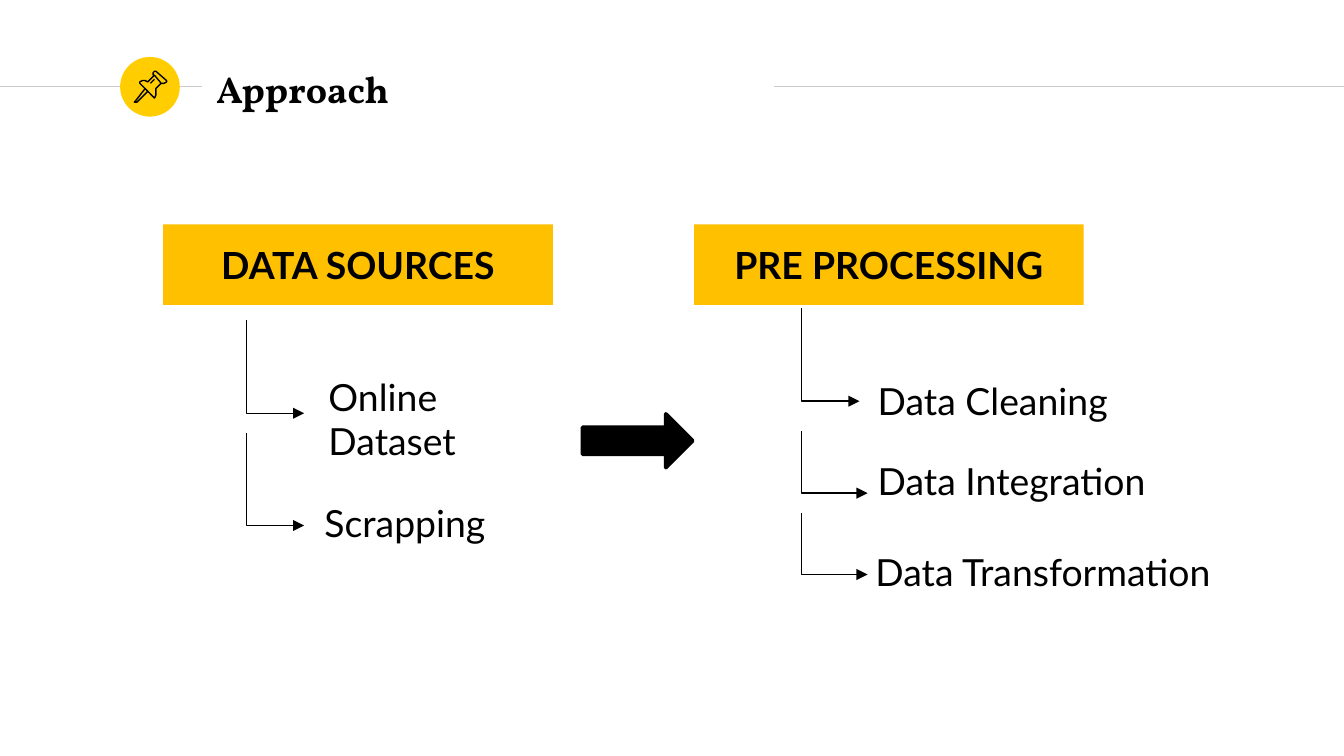
from dataclasses import dataclass
from typing import NamedTuple

from lxml.etree import SubElement
from pptx import Presentation
from pptx.dml.color import RGBColor
from pptx.enum.shapes import MSO_CONNECTOR, MSO_SHAPE
from pptx.enum.text import MSO_ANCHOR, PP_ALIGN
from pptx.oxml.ns import qn
from pptx.util import Inches, Pt


@dataclass(frozen=True)
class Theme:
    ink: str = "000000"
    paper: str = "FFFFFF"
    rule: str = "CCCCCC"
    badge: str = "FFCD00"
    banner: str = "FFC000"
    title_font: str = "Vollkorn"
    body_font: str = "Lato"
    text_size: float = 20
    thin: float = 0.75
    thick: float = 2


class Area(NamedTuple):
    """Left, top, width and height in grid columns and rows."""
    left: float
    top: float
    width: float
    height: float


class Label(NamedTuple):
    text: str
    area: Area


class Route(NamedTuple):
    """Start and end of a line, in grid columns and rows."""
    start: tuple[float, float]
    end: tuple[float, float]


class Stroke(NamedTuple):
    points: list[tuple[int, int]]
    closed: bool


THEME = Theme()
SLIDE_WIDTH = Inches(10)
SLIDE_HEIGHT = SLIDE_WIDTH * 9 // 16
COLUMNS = 100
CELL = SLIDE_WIDTH // COLUMNS
BANNER_TOP, BANNER_WIDTH, ROW_HEIGHT = 16.7, 29, 6
RULE_ROW = 6.46

BANNERS = [
    Label(text, Area(left, BANNER_TOP, BANNER_WIDTH, ROW_HEIGHT))
    for text, left in (("DATA SOURCES", 12.14), ("PRE PROCESSING", 51.64))
]
STEPS = [
    Label("Online Dataset", Area(23.14, 28.14, 14, ROW_HEIGHT)),
    Label("Scrapping", Area(22.84, 35.9, 18.3, ROW_HEIGHT)),
    Label("Data Cleaning", Area(64, 26.8, 26.5, ROW_HEIGHT)),
    Label("Data Integration", Area(64, 32.74, 26.7, ROW_HEIGHT)),
    Label("Data Transformation", Area(63.84, 39.54, 30.7, ROW_HEIGHT)),
]
BRANCHES = [
    Route((left, top), (left + width, top + height))
    for left, top, width, height in (
        (18.34, 23.8, 4.3, 6.95),
        (18.34, 32.2, 4.3, 6.9),
        (59.65, 22.9, 4.3, 6.95),
        (59.65, 32.1, 4.9, 4.6),
        (59.65, 38.2, 4.9, 4.55),
    )
]
RULES = [
    Route((0, RULE_ROW), (15, RULE_ROW)),
    Route((57.6, RULE_ROW), (COLUMNS, RULE_ROW)),
]
# Pin strokes in hundredths of an inch
PIN = [
    Stroke([(108, 66), (101, 75), (100, 76), (102, 76), (110, 68)], True),
    Stroke([(115, 56), (120, 62), (122, 62), (124, 61), (124, 60), (116, 53),
            (115, 53), (114, 54), (114, 56)], True),
    Stroke([(115, 56), (110, 61), (108, 60), (106, 60), (104, 61), (104, 62),
            (114, 72), (115, 73), (116, 71), (116, 66), (120, 62)], False),
    Stroke([(112, 62), (115, 59)], False),
]


def cells(value: float) -> int:
    return round(value * CELL)


def place(shape, area: Area) -> None:
    for name, value in area._asdict().items():
        setattr(shape, name, cells(value))


def style_line(line, color: str, width: float) -> None:
    line.color.rgb = RGBColor.from_string(color)
    line.width = Pt(width)


def style_shape(shape, fill: str | None, line: str | None, width: float = THEME.thick) -> None:
    shape.shadow.inherit = False
    if fill:
        shape.fill.solid()
        shape.fill.fore_color.rgb = RGBColor.from_string(fill)
    else:
        shape.fill.background()
    if line:
        style_line(shape.line, line, width)
    else:
        shape.line.fill.background()


def write(shape, text: str, font: str, bold: bool, align: PP_ALIGN,
          inset_x: float, inset_y: float) -> None:
    frame = shape.text_frame
    frame_format = {
        "word_wrap": True, "vertical_anchor": MSO_ANCHOR.MIDDLE,
        "margin_left": Inches(inset_x), "margin_right": Inches(inset_x),
        "margin_top": Inches(inset_y), "margin_bottom": Inches(inset_y),
    }
    for name, value in frame_format.items():
        setattr(frame, name, value)
    para = frame.paragraphs[0]
    para.alignment = align
    span = para.add_run()
    span.text = text
    for name, value in {"name": font, "size": Pt(THEME.text_size), "bold": bold}.items():
        setattr(span.font, name, value)
    span.font.color.rgb = RGBColor.from_string(THEME.ink)


def add_preset(page, kind: MSO_SHAPE, area: Area, fill: str | None, line: str | None):
    shape = page.shapes.add_shape(kind, *map(cells, area))
    style_shape(shape, fill, line)
    return shape


def add_line(page, kind: MSO_CONNECTOR, route: Route, color: str):
    line = page.shapes.add_connector(kind, *map(cells, route.start + route.end))
    style_line(line.line, color, THEME.thin)
    SubElement(line._element.spPr, qn("a:effectLst"))
    return line


def add_branch(page, route: Route) -> None:
    """Draw an arrow that runs down first and then right."""
    branch = add_line(page, MSO_CONNECTOR.ELBOW, route, THEME.ink)
    properties = branch._element.spPr
    guides = properties.find(qn("a:prstGeom")).get_or_add_avLst()
    SubElement(guides, qn("a:gd"), name="adj1", fmla="val 0")
    SubElement(properties.find(qn("a:ln")), qn("a:tailEnd"), type="triangle")


def add_pin(page) -> None:
    for stroke in PIN:
        builder = page.shapes.build_freeform(*stroke.points[0], scale=Inches(0.01))
        builder.add_line_segments(stroke.points[1:], close=stroke.closed)
        style_shape(builder.convert_to_shape(), None, THEME.ink, THEME.thin)


def add_header(page) -> None:
    for rule in RULES:
        add_line(page, MSO_CONNECTOR.STRAIGHT, rule, THEME.rule)
    add_preset(page, MSO_SHAPE.OVAL, Area(8.94, 4.24, 4.44, 4.44), THEME.badge, None)
    add_pin(page)
    title = page.shapes.title
    place(title, Area(15.1, 4.2, 42.4, 4.8))
    write(title, "Approach", THEME.title_font, True, PP_ALIGN.LEFT, 0.1, 0.1)


def main() -> None:
    deck = Presentation()
    deck.slide_width, deck.slide_height = SLIDE_WIDTH, SLIDE_HEIGHT
    page = deck.slides.add_slide(deck.slide_layouts[5])
    add_header(page)
    for text, area in STEPS:
        box = add_preset(page, MSO_SHAPE.RECTANGLE, area, None, THEME.paper)
        write(box, text, THEME.body_font, False, PP_ALIGN.LEFT, 0.13, 0.07)
    for branch in BRANCHES:
        add_branch(page, branch)
    add_preset(page, MSO_SHAPE.RIGHT_ARROW, Area(43.34, 30.8, 8.2, 4), THEME.ink, THEME.ink)
    for text, area in BANNERS:
        box = add_preset(page, MSO_SHAPE.RECTANGLE, area, THEME.banner, None)
        write(box, text, THEME.body_font, True, PP_ALIGN.CENTER, 0.1, 0.05)
    deck.save("out.pptx")


if __name__ == "__main__":
    main()
